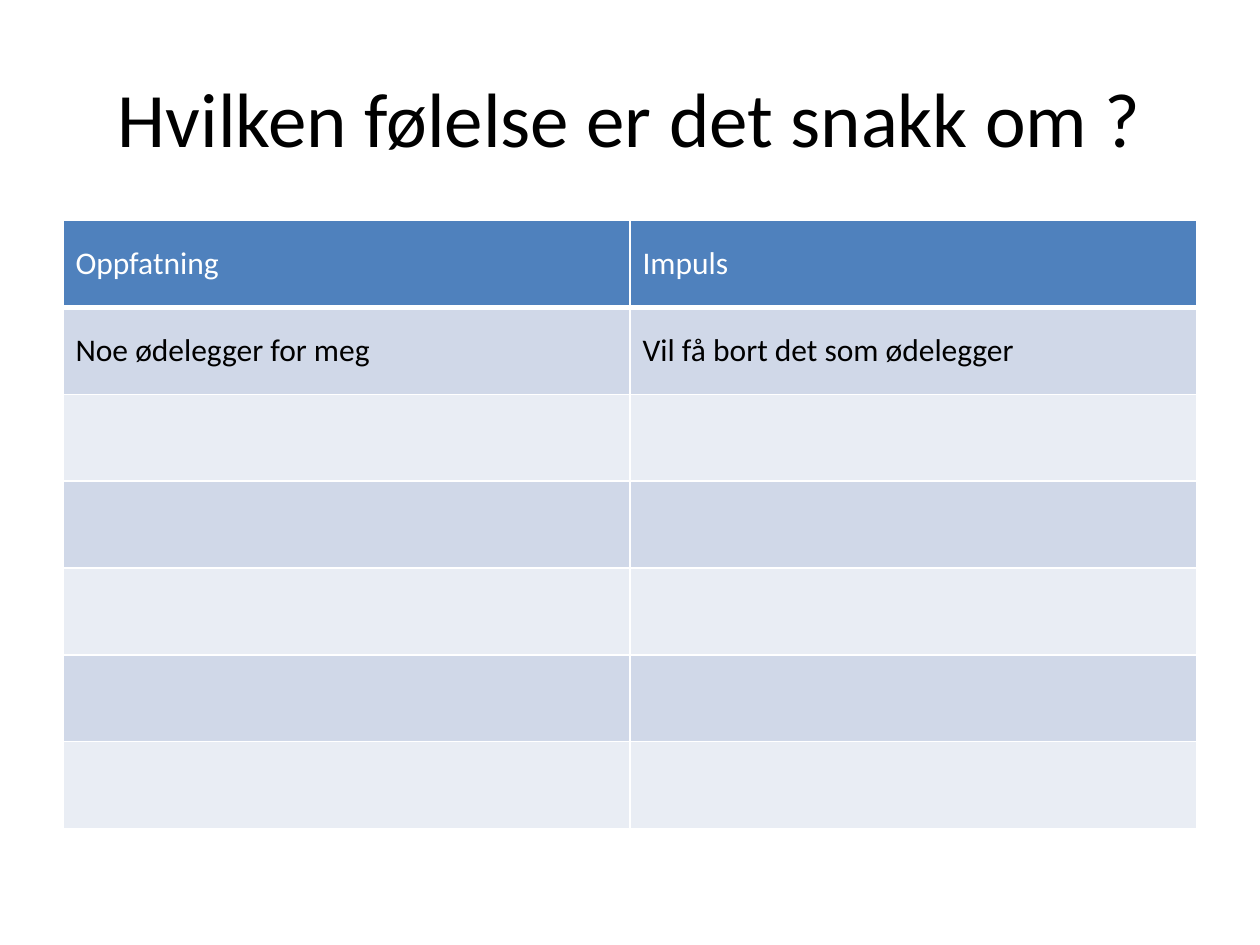
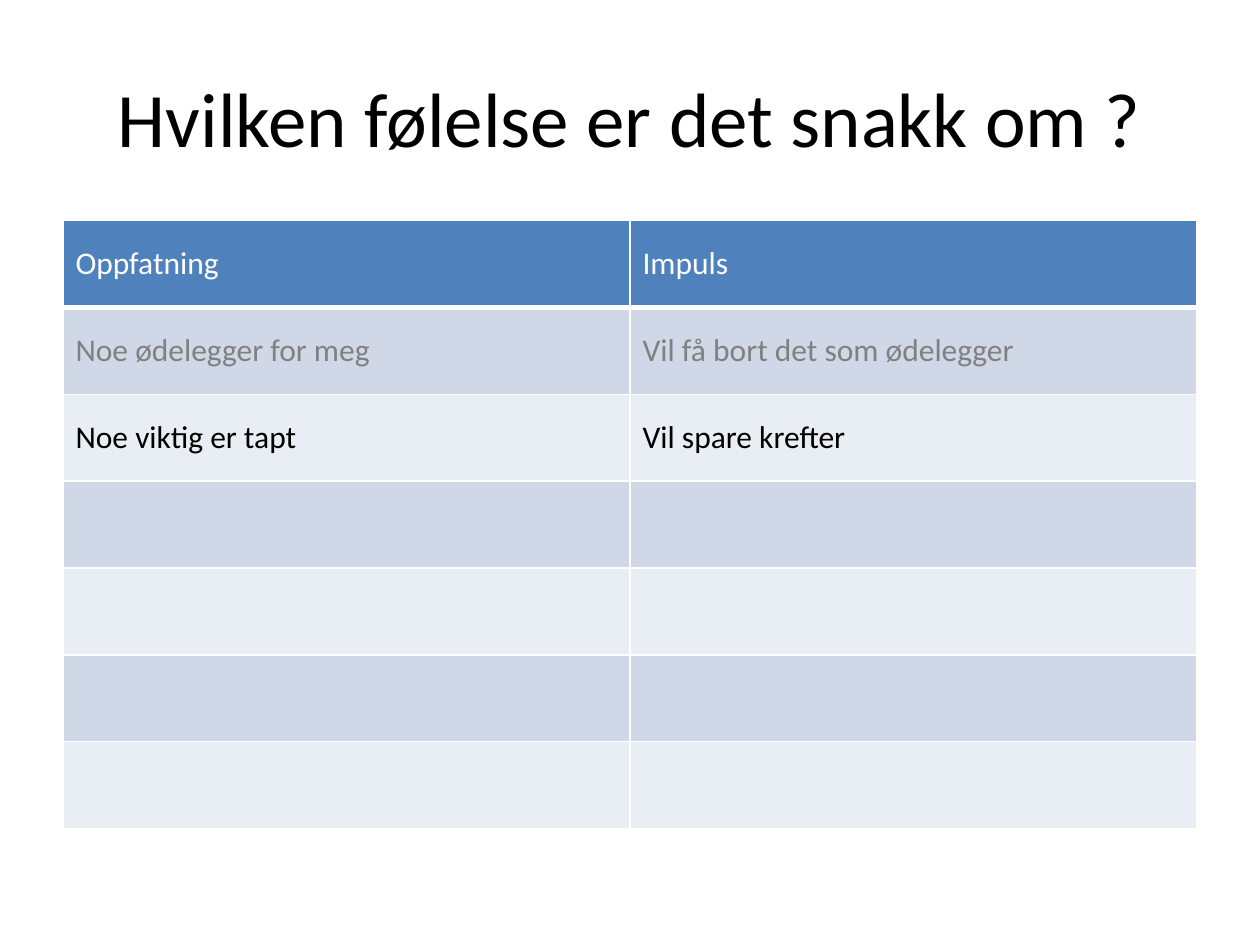
from dataclasses import dataclass

from lxml import etree
from pptx import Presentation
from pptx.dml.color import RGBColor
from pptx.enum.text import MSO_ANCHOR, PP_ALIGN
from pptx.oxml.ns import qn
from pptx.util import Cm, Pt

MIDDLE = MSO_ANCHOR.MIDDLE
CENTER = PP_ALIGN.CENTER
LEFT = PP_ALIGN.LEFT
TITLE_ONLY = 5


@dataclass(frozen=True)
class Theme:
    font: str = "Calibri"
    title_size: int = 44
    table_size: int = 18
    ink: str = "000000"
    faded: str = "808080"
    paper: str = "FFFFFF"
    header: str = "4F81BD"
    bands: tuple = ("D0D8E8", "E9EDF4")
    rule: int = 1
    header_rule: int = 3


THEME = Theme()

TITLE = "Hvilken følelse er det snakk om ?"
HEADINGS = ("Oppfatning", "Impuls")
FEELINGS = [
    ("Noe ødelegger for meg", "Vil få bort det som ødelegger"),
    ("Noe viktig er tapt", "Vil spare krefter"),
]
ROW_COUNT = 7

PAGE_WIDTH, PAGE_HEIGHT = Cm(25.4), Cm(19.05)
MARGIN = Cm(1.27)
CONTENT_WIDTH = PAGE_WIDTH - 2 * MARGIN
TITLE_TOP, TITLE_HEIGHT = Cm(0.76), Cm(3.18)
TABLE_TOP, ROW_HEIGHT = Cm(4.45), Cm(1.75)


def format_text(frame, size, color, alignment):
    for para in frame.paragraphs:
        para.alignment = alignment
        for span in para.runs:
            span.font.name = THEME.font
            span.font.size = Pt(size)
            span.font.bold = False
            span.font.color.rgb = RGBColor.from_string(color)


def add_borders(cell, bottom_width):
    properties = cell._tc.get_or_add_tcPr()
    widths = {"L": THEME.rule, "R": THEME.rule, "T": THEME.rule, "B": bottom_width}
    for side, width in widths.items():
        line = etree.SubElement(properties, qn(f"a:ln{side}"), w=str(Pt(width)))
        fill = etree.SubElement(line, qn("a:solidFill"))
        etree.SubElement(fill, qn("a:srgbClr"), val=THEME.paper)


def fill_cell(cell, text, color, background, bottom_width):
    add_borders(cell, bottom_width)
    cell.fill.solid()
    cell.fill.fore_color.rgb = RGBColor.from_string(background)
    cell.vertical_anchor = MIDDLE
    if text:
        cell.text_frame.text = text
        format_text(cell.text_frame, THEME.table_size, color, LEFT)


def add_title(page):
    title = page.shapes.title
    title.left, title.top = MARGIN, TITLE_TOP
    title.width, title.height = CONTENT_WIDTH, TITLE_HEIGHT
    title.text_frame.text = TITLE
    title.text_frame.vertical_anchor = MIDDLE
    format_text(title.text_frame, THEME.title_size, THEME.ink, CENTER)


def add_feelings_table(page, revealed):
    table = page.shapes.add_table(
        ROW_COUNT, len(HEADINGS), MARGIN, TABLE_TOP,
        CONTENT_WIDTH, ROW_HEIGHT * ROW_COUNT,
    ).table
    for cell, heading in zip(table.rows[0].cells, HEADINGS):
        fill_cell(cell, heading, THEME.paper, THEME.header, THEME.header_rule)
    for row in range(1, ROW_COUNT):
        texts = FEELINGS[row - 1] if row <= revealed else ("",) * len(HEADINGS)
        color = THEME.ink if row == revealed else THEME.faded
        background = THEME.bands[(row - 1) % len(THEME.bands)]
        for cell, text in zip(table.rows[row].cells, texts):
            fill_cell(cell, text, color, background, THEME.rule)


deck = Presentation()
deck.slide_width, deck.slide_height = PAGE_WIDTH, PAGE_HEIGHT
for revealed in range(1, len(FEELINGS) + 1):
    page = deck.slides.add_slide(deck.slide_layouts[TITLE_ONLY])
    add_title(page)
    add_feelings_table(page, revealed)
deck.save("out.pptx")
